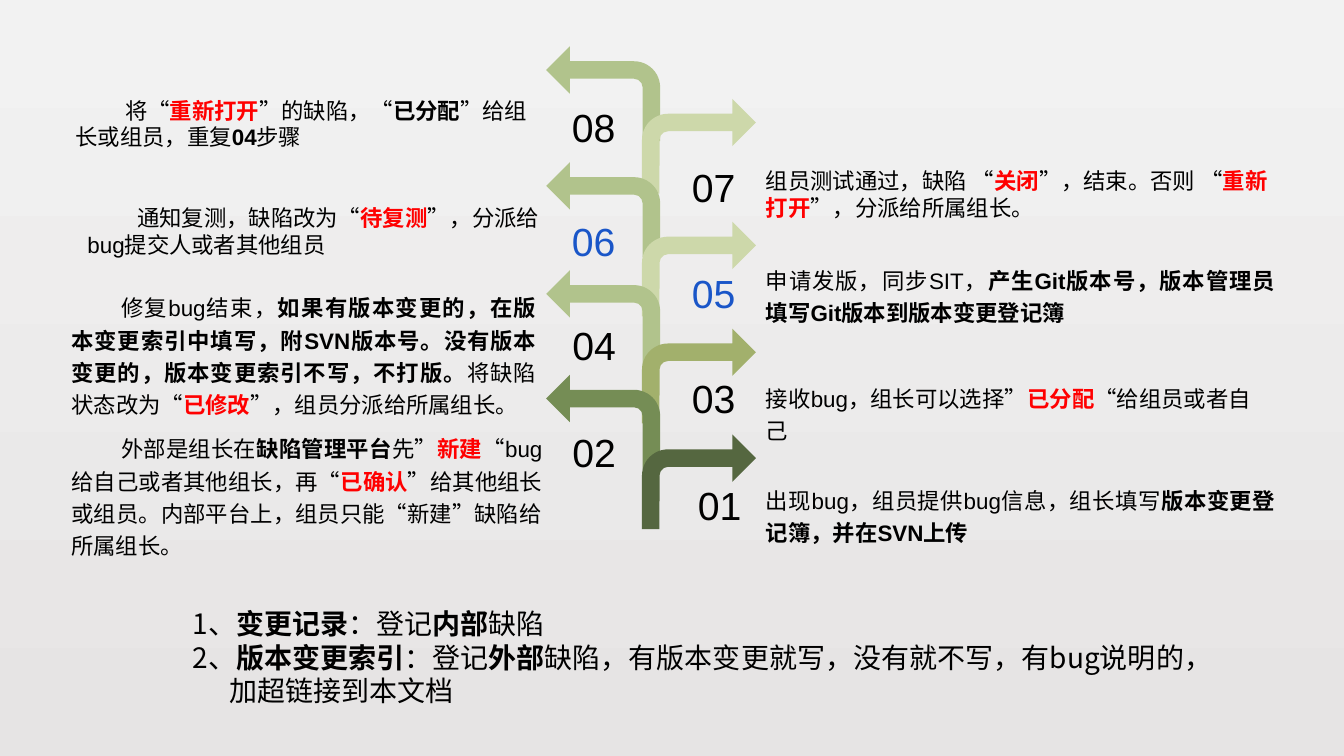
"""Build a slide showing the eight steps of a defect workflow as branching arrows."""
from typing import NamedTuple

from lxml.etree import SubElement
from pptx import Presentation
from pptx.dml.color import RGBColor
from pptx.enum.shapes import MSO_SHAPE
from pptx.enum.text import MSO_ANCHOR, MSO_AUTO_SIZE, PP_ALIGN
from pptx.oxml.ns import qn
from pptx.util import Pt

BLACK = RGBColor(0x00, 0x00, 0x00)
RED = RGBColor(0xFF, 0x00, 0x00)
BLUE = RGBColor(0x1A, 0x56, 0xC8)
SAGE = RGBColor(0xB1, 0xC3, 0x8C)
PALE = RGBColor(0xCD, 0xD8, 0xAA)
OLIVE = RGBColor(0xA2, 0xB0, 0x6C)
MOSS = RGBColor(0x75, 0x8D, 0x55)
FOREST = RGBColor(0x55, 0x67, 0x40)
BACKGROUND_TOP = RGBColor(0xF2, 0xF2, 0xF2)
BACKGROUND_BOTTOM = RGBColor(0xE6, 0xE4, 0xE4)

LATIN_FONT = "Arial"
CHINESE_FONT = "Noto Sans CJK SC"
ARROW_WIDTH, ARROW_HEIGHT = 81.4, 67.7
ARROW_LEFT = {True: 390.2, False: 458.6}
NUMBER_WIDTH, NUMBER_HEIGHT = 59, 41
RIGHT_TEXT = 540
STEP_INDENT = 35.5
NOTE_INDENT = 26.5


class Span(NamedTuple):
    text: str
    bold: bool = False
    color: RGBColor = BLACK


class Step(NamedTuple):
    label: str
    arrow_top: float
    arrow_color: RGBColor
    number_center: float
    number_top: float
    number_color: RGBColor
    text_area: tuple
    line_spacing: float
    spans: list


def strong(text):
    return Span(text, True)


def status(text):
    return Span(text, True, RED)


STEPS = [
    Step("08", 33.1, SAGE, 424, 70.6, BLACK, (46.8, 65.5, 344.2, 46), 1.0,
         [Span("将“"), status("重新打开"), Span("”的缺陷，“"), strong("已分配"),
          Span("”给组长或组员，重复"), strong("04"), Span("步骤")]),
    Step("07", 70.6, PALE, 509.8, 113, BLACK, (RIGHT_TEXT, 115.9, 378, 46), 1.0,
         [Span("组员测试通过，缺陷 “"), status("关闭"), Span("”，结束。否则 “"),
          status("重新打开"), Span("”，分派给所属组长。")]),
    Step("06", 115.9, SAGE, 424, 151.9, BLUE, (55.4, 142.6, 344.2, 46), 1.0,
         [Span("通知复测，缺陷改为“"), status("待复测"),
          Span("”，分派给bug提交人或者其他组员")]),
    Step("05", 158.4, PALE, 509.8, 188.6, BLUE, (RIGHT_TEXT, 183.6, 378, 50.4), 1.2,
         [Span("申请发版，同步SIT，"),
          strong("产生Git版本号，版本管理员填写Git版本到版本变更登记簿")]),
    Step("04", 193, SAGE, 424.4, 226.1, BLACK, (43.9, 203, 346.3, 99.4), 1.2,
         [Span("修复bug结束，"),
          strong("如果有版本变更的，在版本变更索引中填写，附SVN版本号。"
                 "没有版本变更的，版本变更索引不写，不打版。"),
          Span("将缺陷状态改为“"), status("已修改"), Span("”，组员分派给所属组长。")]),
    Step("03", 234.7, OLIVE, 509.8, 264.2, BLACK, (RIGHT_TEXT, 267.8, 360.7, 37.4), 1.2,
         [Span("接收bug，组长可以选择”"), status("已分配"), Span("“给组员或者自己")]),
    Step("02", 267.8, MOSS, 424.4, 302.4, BLACK, (43.9, 303.8, 350.6, 95.8), 1.2,
         [Span("外部是组长在"), strong("缺陷管理平台"), Span("先”"), status("新建"),
          Span("“bug给自己或者其他组长，再“"), status("已确认"),
          Span("”给其他组长或组员。内部平台上，组员只能“新建”缺陷给所属组长。")]),
    Step("01", 310.3, FOREST, 514.1, 340.6, BLACK, (RIGHT_TEXT, 340.6, 378, 54), 1.2,
         [Span("出现bug，组员提供bug信息，组长填写"),
          strong("版本变更登记簿，并在SVN上传")]),
]

NOTES = [
    (0, [Span("1、"), strong("变更记录"), Span("：登记"), strong("内部"), Span("缺陷")]),
    (0, [Span("2、"), strong("版本变更索引"), Span("：登记"), strong("外部"),
         Span("缺陷，有版本变更就写，没有就不写，有bug说明的，")]),
    (NOTE_INDENT, [Span("加超链接到本文档")]),
]


def points(*lengths):
    return [Pt(length) for length in lengths]


def set_background(page):
    fill = page.background.fill
    fill.gradient()
    fill.gradient_angle = 270
    for stop, color in zip(fill.gradient_stops, (BACKGROUND_TOP, BACKGROUND_BOTTOM)):
        stop.color.rgb = color


def write_spans(para, spans, size, font=LATIN_FONT, indent=0):
    properties = para._p.get_or_add_pPr()
    properties.set("marL", "0")
    properties.set("indent", str(Pt(indent)))
    for span in spans:
        run = para.add_run()
        run.text = span.text
        run.font.size = Pt(size)
        run.font.name = font
        run.font.bold = span.bold
        run.font.color.rgb = span.color
        east_asian = SubElement(run.font._element, qn("a:ea"))
        east_asian.set("typeface", CHINESE_FONT)


def add_text(page, area, spans, size, align, line_spacing=1.0, indent=0):
    box = page.shapes.add_textbox(*points(*area))
    box.text_frame.word_wrap = True
    para = box.text_frame.paragraphs[0]
    para.alignment = align
    para.line_spacing = line_spacing
    write_spans(para, spans, size, indent=indent)


def add_arrow(page, step, points_left):
    arrow = page.shapes.add_shape(
        MSO_SHAPE.BENT_ARROW,
        *points(ARROW_LEFT[points_left], step.arrow_top, ARROW_WIDTH, ARROW_HEIGHT))
    for index, value in enumerate((0.185, 0.25, 0.25, 0.276)):
        arrow.adjustments[index] = value
    if points_left:
        arrow._element.spPr.find(qn("a:xfrm")).set("flipH", "1")
    arrow.shadow.inherit = False
    arrow.fill.solid()
    arrow.fill.fore_color.rgb = step.arrow_color
    arrow.line.fill.background()


def add_step_text(page, step, on_left):
    number_area = (step.number_center - NUMBER_WIDTH / 2, step.number_top,
                   NUMBER_WIDTH, NUMBER_HEIGHT)
    add_text(page, number_area, [Span(step.label, color=step.number_color)],
             28, PP_ALIGN.CENTER)
    align = PP_ALIGN.JUSTIFY if step.line_spacing > 1 else PP_ALIGN.LEFT
    add_text(page, step.text_area, step.spans, 16, align, step.line_spacing,
             STEP_INDENT if on_left else 0)


def fill_notes(body):
    body.left, body.top, body.width, body.height = points(130.3, 429.8, 726.5, 79.9)
    frame = body.text_frame
    frame.auto_size = MSO_AUTO_SIZE.NONE
    frame.vertical_anchor = MSO_ANCHOR.TOP
    for index, (indent, spans) in enumerate(NOTES):
        para = frame.add_paragraph() if index else frame.paragraphs[0]
        para.alignment = PP_ALIGN.LEFT
        para.space_before = Pt(0)
        SubElement(para._p.get_or_add_pPr(), qn("a:buNone"))
        write_spans(para, spans, 20, CHINESE_FONT, indent)


def main():
    deck = Presentation()
    deck.slide_width, deck.slide_height = points(960, 540)
    page = deck.slides.add_slide(deck.slide_layouts[1])
    title = page.shapes.title._element
    title.getparent().remove(title)
    set_background(page)
    for index, step in enumerate(STEPS):
        add_arrow(page, step, index % 2 == 0)
    for index, step in enumerate(STEPS):
        add_step_text(page, step, index % 2 == 0)
    fill_notes(page.placeholders[1])
    deck.save("out.pptx")


if __name__ == "__main__":
    main()
